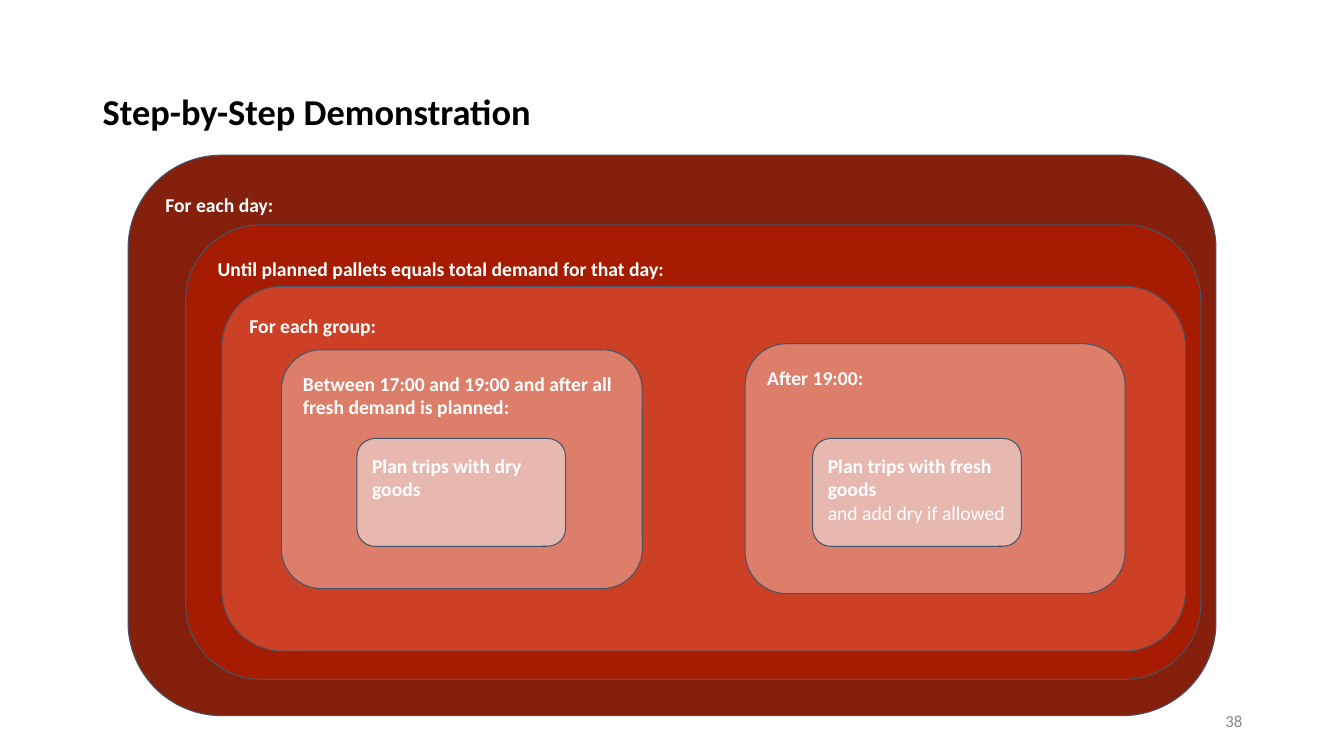
from dataclasses import dataclass

from pptx import Presentation
from pptx import util as u
from pptx.dml.color import RGBColor
from pptx.enum import shapes, text

PX = u.Inches(1) // 100  # 100 px to the inch


@dataclass(frozen=True)
class Theme:
    font: str = "Calibri"
    title_size: int = 26
    label_size: int = 14
    number_size: int = 12
    title_color: str = "000000"
    label_color: str = "FFFFFF"
    number_color: str = "888888"
    outline: str = "44546A"
    # Fills from the outermost loop to the innermost step
    levels: tuple = ("85200C", "A61C00", "CC4125", "DD7E6B", "E6B8AF")


THEME = Theme()


def px(*lengths):
    return [u.Emu(length * PX) for length in lengths]


def rgb(color):
    return RGBColor.from_string(color)


def write(frame, *lines, size, color, bold=(), align=text.PP_ALIGN.LEFT,
          anchor=text.MSO_ANCHOR.TOP, inset=5, line_spacing=None):
    """Fill a text frame, one paragraph a line; bold lists the bold line indexes."""
    frame.word_wrap = True
    frame.vertical_anchor = anchor
    frame.margin_left, frame.margin_right = px(10, 10)
    frame.margin_top, frame.margin_bottom = px(inset, inset)
    for index, line in enumerate(lines):
        paragraph = frame.paragraphs[0] if index == 0 else frame.add_paragraph()
        paragraph.alignment = align
        paragraph.line_spacing = line_spacing
        run = paragraph.add_run()
        run.text = line
        run.font.name = THEME.font
        run.font.size = u.Pt(size)
        run.font.bold = index in bold
        run.font.color.rgb = rgb(color)


def add_text(slide, box, content, **formatting):
    shape = slide.shapes.add_textbox(*px(*box))
    write(shape.text_frame, content, anchor=text.MSO_ANCHOR.MIDDLE, **formatting)


def add_block(slide, level, box, *lines):
    """Add one rounded block, coloured by its nesting level."""
    shape = slide.shapes.add_shape(
        shapes.MSO_SHAPE.ROUNDED_RECTANGLE, *px(*box))
    shape.shadow.inherit = False
    shape.fill.solid()
    shape.fill.fore_color.rgb = rgb(THEME.levels[level])
    shape.line.color.rgb = rgb(THEME.outline)
    shape.line.width = u.Pt(0.75)
    write(shape.text_frame, *lines, size=THEME.label_size,
          color=THEME.label_color, bold=(0,), inset=10)


def main():
    presentation = Presentation()
    presentation.slide_width, presentation.slide_height = px(1333, 750)
    slide = presentation.slides.add_slide(presentation.slide_layouts[6])

    # Page number
    add_text(slide, (942, 695, 300, 40), "38", size=THEME.number_size,
             color=THEME.number_color, align=text.PP_ALIGN.RIGHT)

    # Nested loops
    add_block(slide, 0, (127, 154, 1079, 556), "For each day:")
    add_block(slide, 1, (184, 223, 1007, 451),
              "Until planned pallets equals total demand for that day:")
    add_block(slide, 2, (220, 284, 956, 362), "For each group:")

    # Time windows
    add_block(slide, 3, (279, 347, 358, 237),
              "Between 17:00 and 19:00 and after all fresh demand is planned:")
    add_block(slide, 3, (739, 341, 377, 248), "After 19:00:")

    # Planning steps
    add_block(slide, 4, (354, 435, 207, 107), "Plan trips with dry goods")
    add_block(slide, 4, (806, 435, 207, 107),
              "Plan trips with fresh goods", "and add dry if allowed")

    # Title
    add_text(slide, (92, 40, 1068, 145), "Step-by-Step Demonstration",
             size=THEME.title_size, color=THEME.title_color, bold=(0,),
             line_spacing=0.9)

    presentation.save("out.pptx")


if __name__ == "__main__":
    main()
